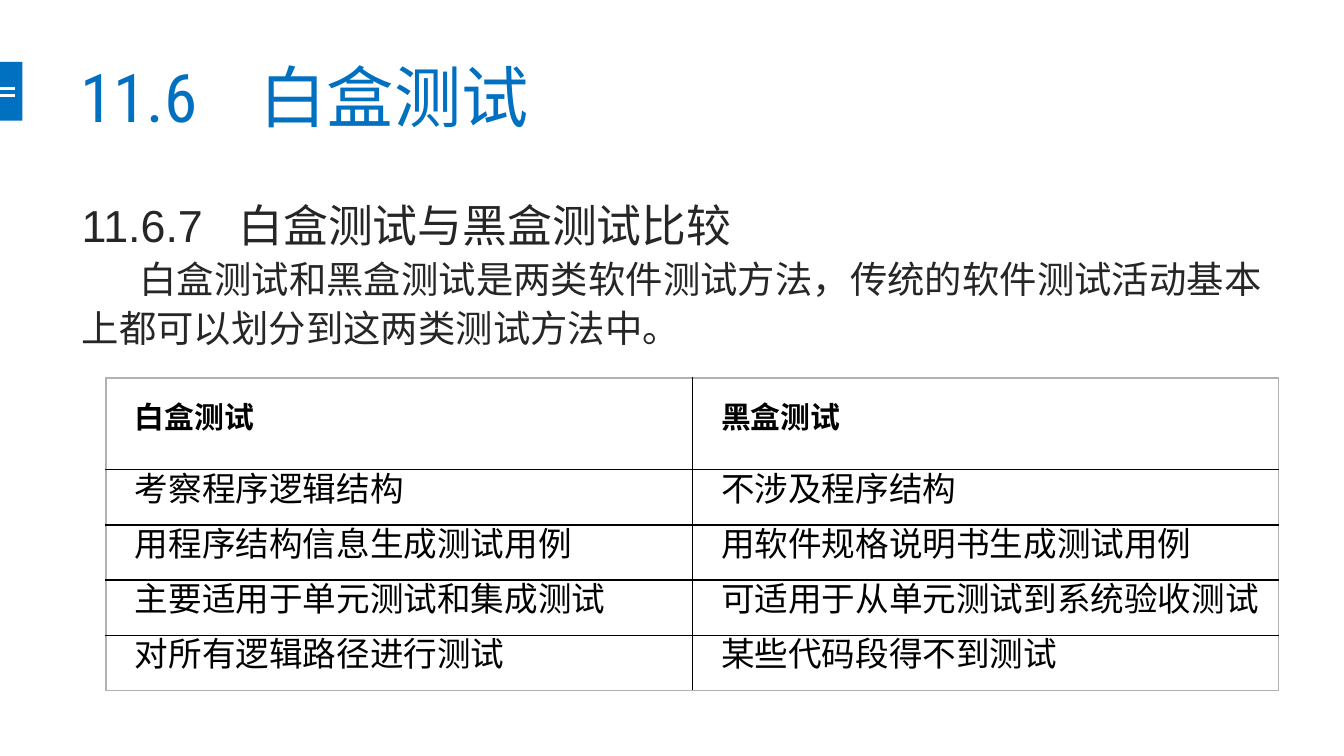
from lxml import etree
from pptx import Presentation
from pptx.dml.color import RGBColor
from pptx.enum import shapes, text
from pptx.oxml import ns
from pptx.util import Pt

BLUE = RGBColor(0x00, 0x70, 0xC0)
WHITE = RGBColor(0xFF, 0xFF, 0xFF)
INK = RGBColor(0x26, 0x26, 0x26)
BLACK = RGBColor(0x00, 0x00, 0x00)
GREY = RGBColor(0xB2, 0xB2, 0xB2)

COMPARISON = [
    ("白盒测试", "黑盒测试"),
    ("考察程序逻辑结构", "不涉及程序结构"),
    ("用程序结构信息生成测试用例", "用软件规格说明书生成测试用例"),
    ("主要适用于单元测试和集成测试", "可适用于从单元测试到系统验收测试"),
    ("对所有逻辑路径进行测试", "某些代码段得不到测试"),
]


def write(para, words, size, font, color, bold=False, spacing=None, indent=0, tab=None):
    """Fill a paragraph; indent (first line) and tab are in points."""
    props = para._p.get_or_add_pPr()
    if indent:
        props.set("indent", str(Pt(indent)))
    if tab:
        stops = etree.SubElement(props, ns.qn("a:tabLst"))
        etree.SubElement(stops, ns.qn("a:tab"), pos=str(Pt(tab)), algn="l")
    if spacing:
        para.line_spacing = spacing
    span = para.add_run()
    span.text = words
    span.font.size = Pt(size)
    span.font.name = font
    span.font.bold = bold
    span.font.color.rgb = color


def draw_border(cell, side, color):
    line = etree.SubElement(cell._tc.get_or_add_tcPr(), ns.qn(f"a:ln{side}"), w=str(Pt(1)))
    fill = etree.SubElement(line, ns.qn("a:solidFill"))
    etree.SubElement(fill, ns.qn("a:srgbClr"), val=str(color))


class Painter:
    heading_font = "Roboto Condensed"
    body_font = "Arial"
    table_font = "Calibri"

    def __init__(self, page):
        self.page = page

    def bar(self, left, top, width, height):
        shape = self.page.shapes.add_shape(
            shapes.MSO_SHAPE.RECTANGLE, Pt(left), Pt(top), Pt(width), Pt(height))
        shape.shadow.inherit = False
        shape.fill.solid()
        shape.fill.fore_color.rgb = BLUE
        shape.line.fill.background()

    def rule(self, left, top, width):
        line = self.page.shapes.add_connector(
            shapes.MSO_CONNECTOR.STRAIGHT, Pt(left), Pt(top), Pt(left + width), Pt(top))
        line.line.color.rgb = WHITE
        line.line.width = Pt(1.5)
        etree.SubElement(line._element.spPr, ns.qn("a:effectLst"))

    def box(self, left, top, width, height, anchor):
        frame = self.page.shapes.add_textbox(
            Pt(left), Pt(top), Pt(width), Pt(height)).text_frame
        frame.word_wrap = True
        frame.vertical_anchor = anchor
        return frame

    def title(self, words):
        frame = self.box(36, 34.5, 600, 33, text.MSO_ANCHOR.MIDDLE)
        write(frame.paragraphs[0], words, 36, self.heading_font, BLUE, tab=96)

    def body(self, heading, prose):
        frame = self.box(36.7, 99.4, 648, 288, text.MSO_ANCHOR.TOP)
        write(frame.paragraphs[0], heading, 24, self.body_font, INK, spacing=1.1, tab=84)
        write(frame.add_paragraph(), prose, 20, self.body_font, INK, spacing=1.1, indent=31)

    def table(self, rows, left, top, column_width, heights):
        last_row, last_column = len(rows) - 1, len(rows[0]) - 1
        grid = self.page.shapes.add_table(
            len(rows), len(rows[0]), Pt(left), Pt(top),
            Pt(column_width * len(rows[0])), Pt(sum(heights))).table
        grid.first_row = grid.horz_banding = False
        for column in grid.columns:
            column.width = Pt(column_width)
        for r, row in enumerate(rows):
            grid.rows[r].height = Pt(heights[r])
            for c, words in enumerate(row):
                cell = grid.cell(r, c)
                outer = {"L": c == 0, "R": c == last_column,
                         "T": r == 0, "B": r == last_row}
                for side, is_outer in outer.items():
                    draw_border(cell, side, GREY if is_outer else BLACK)
                cell.fill.background()
                cell.vertical_anchor = text.MSO_ANCHOR.MIDDLE
                cell.margin_left = cell.margin_right = Pt(5.4)
                cell.margin_top = cell.margin_bottom = 0
                write(cell.text_frame.paragraphs[0], words, 16 if r == 0 else 18,
                      self.table_font, BLACK, bold=r == 0, spacing=Pt(14.6), indent=10)


def main():
    deck = Presentation()
    deck.slide_width, deck.slide_height = Pt(720), Pt(405)
    painter = Painter(deck.slides.add_slide(deck.slide_layouts[6]))
    painter.bar(0, 33.2, 12, 31.5)
    for top in (47.4, 51.2):
        painter.rule(0, top, 8)
    painter.title("11.6\t白盒测试")
    painter.body("11.6.7\t白盒测试与黑盒测试比较",
                 "白盒测试和黑盒测试是两类软件测试方法，传统的软件测试活动基本上都可以划分到这两类测试方法中。")
    painter.table(COMPARISON, 56.9, 202.4, 314, [49.2] + [29.6] * 4)
    deck.save("out.pptx")


if __name__ == "__main__":
    main()
